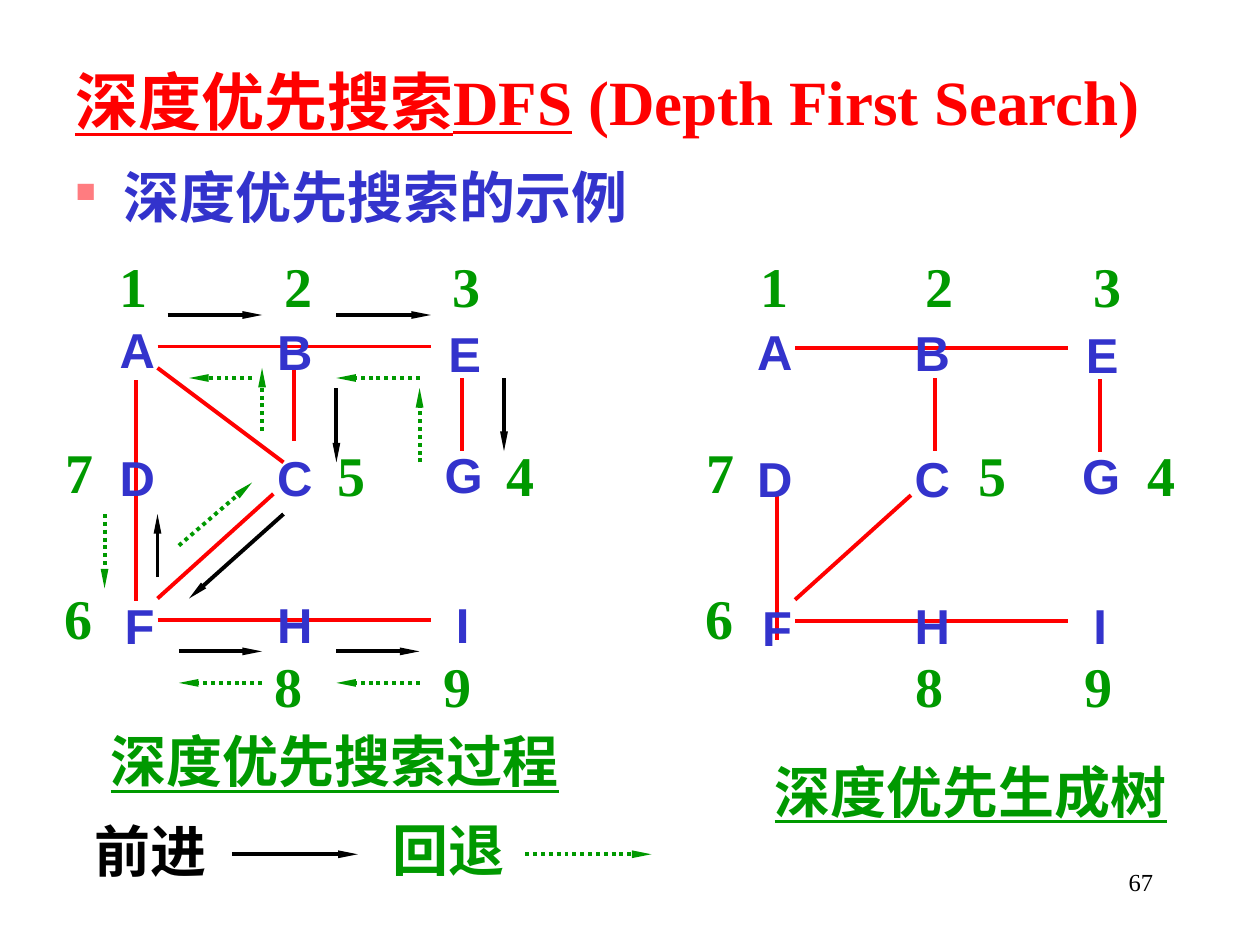
from lxml import etree
from pptx import Presentation
from pptx.dml.color import RGBColor
from pptx.enum.dml import MSO_LINE
from pptx.enum.shapes import MSO_CONNECTOR
from pptx.enum.text import MSO_ANCHOR, MSO_AUTO_SIZE, PP_ALIGN
from pptx.oxml.ns import qn
from pptx.util import Inches, Pt

STRAIGHT = MSO_CONNECTOR.STRAIGHT
DOTTED = MSO_LINE.ROUND_DOT
TOP, MIDDLE = MSO_ANCHOR.TOP, MSO_ANCHOR.MIDDLE
LEFT, RIGHT, JUSTIFY = PP_ALIGN.LEFT, PP_ALIGN.RIGHT, PP_ALIGN.JUSTIFY
GROW = MSO_AUTO_SIZE.SHAPE_TO_FIT_TEXT
COLORS = {
    "edge": "FF0000",
    "vertex": "3333CC",
    "back": "009900",
    "forward": "000000",
    "bullet": "FF7C80",
}

prs = Presentation()
prs.slide_width, prs.slide_height = Inches(10), Inches(7.5)
slide = prs.slides.add_slide(prs.slide_layouts[6])


def add_text(text, left, top, width, height, color="back", size=32, font="Times New Roman",
             bold=True, underline=False, plain_tail="", align=LEFT, anchor=TOP, wrap=True,
             grow=False):
    frame = slide.shapes.add_textbox(
        Inches(left), Inches(top), Inches(width), Inches(height)).text_frame
    frame.word_wrap = wrap
    frame.vertical_anchor = anchor
    if grow:
        frame.auto_size = GROW
    paragraph = frame.paragraphs[0]
    paragraph.alignment = align
    for words, underlined in ((text, underline), (plain_tail, False)):
        if words:
            run = paragraph.add_run()
            run.text = words
            run.font.size = Pt(size)
            run.font.name = font
            run.font.bold = bold
            run.font.underline = underlined
            run.font.color.rgb = RGBColor.from_string(COLORS[color])
    return paragraph


def add_line(x1, y1, x2, y2, color="edge", dotted=False, arrow=False):
    connector = slide.shapes.add_connector(
        STRAIGHT, Inches(x1), Inches(y1), Inches(x2), Inches(y2))
    connector.line.width = Pt(2.25)
    connector.line.color.rgb = RGBColor.from_string(COLORS[color])
    if dotted:
        connector.line.dash_style = DOTTED
    if arrow:
        etree.SubElement(connector.line._get_or_add_ln(), qn("a:tailEnd"),
                         type="triangle", w="sm", len="lg")
    etree.SubElement(connector._element.spPr, qn("a:effectLst"))


add_text("深度优先搜索DFS", 0.5, 0.38, 9.5, 0.83, color="edge", size=36, underline=True,
         plain_tail=" (Depth First Search)", align=JUSTIFY, anchor=MIDDLE)

topic = add_text("深度优先搜索的示例", 0.5, 1.24, 4.66, 0.75, color="vertex")
topic_format = topic._p.get_or_add_pPr()
topic_format.set("marL", str(Inches(0.38)))
topic_format.set("indent", str(Inches(-0.38)))
bullet_color = etree.SubElement(topic_format, qn("a:buClr"))
etree.SubElement(bullet_color, qn("a:srgbClr"), val=COLORS["bullet"])
etree.SubElement(topic_format, qn("a:buSzPct"), val="50000")
etree.SubElement(topic_format, qn("a:buChar"), char="■")

shared_edges = [
    (1.25, 2.75, 3.42, 2.75),
    (1.25, 4.75, 2.17, 3.92),
    (1.25, 4.92, 3.42, 4.92),
    (3.67, 3, 3.67, 3.58),
]
graph_edges = [
    (1.25, 2.92, 2.25, 3.67),
    (2.33, 2.92, 2.33, 3.5),
    (1.08, 3.02, 1.08, 4.77),
]
tree_edges = [
    (7.42, 3, 7.42, 3.58),
    (6.17, 3.92, 6.17, 5.08),
]
vertices = [
    ("A", 0.85, 2.49, 0.48), ("B", 2.1, 2.5, 0.48), ("E", 3.46, 2.52, 0.46),
    ("D", 0.85, 3.5, 0.48), ("C", 2.1, 3.5, 0.48), ("G", 3.43, 3.48, 0.5),
    ("F", 0.89, 4.68, 0.44), ("H", 2.1, 4.67, 0.48), ("I", 3.52, 4.67, 0.31),
]
visit_places = [
    (0.85, 1.95), (2.16, 1.95), (3.49, 1.95), (3.92, 3.45), (2.58, 3.45),
    (0.41, 4.58), (0.42, 3.42), (2.08, 5.12), (3.42, 5.12),
]

for edge in graph_edges + tree_edges:
    add_line(*edge)

for dx, dy, order_dx in ((0, 0, 0), (5.06, 0.01, 5.09)):
    for x1, y1, x2, y2 in shared_edges:
        add_line(x1 + dx, y1 + dy, x2 + dx, y2 + dy)
    for name, left, top, width in vertices:
        add_text(name, left + dx, top + dy, width, 0.57, color="vertex", size=28,
                 font="Arial", wrap=False, grow=True)
    for order, (left, top) in enumerate(visit_places, start=1):
        add_text(str(order), left + order_dx, top, 0.42, 0.63, wrap=False, grow=True)

forward_moves = [
    (1.33, 2.5, 2.08, 2.5),
    (2.67, 2.5, 3.42, 2.5),
    (4, 3, 4, 3.58),
    (2.67, 3.08, 2.67, 3.67),
    (2.25, 4.08, 1.5, 4.75),
    (1.25, 4.58, 1.25, 4.08),
    (1.42, 5.17, 2.08, 5.17),
    (2.67, 5.17, 3.33, 5.17),
    (1.84, 6.78, 2.84, 6.78),
]
back_moves = [
    (3.33, 3.67, 3.33, 3.08),
    (3.33, 3, 2.67, 3),
    (2.08, 3.42, 2.08, 2.92),
    (2, 3, 1.5, 3),
    (0.83, 4.08, 0.83, 4.67),
    (2.08, 5.42, 1.42, 5.42),
    (3.33, 5.42, 2.67, 5.42),
    (1.42, 4.33, 2, 3.83),
    (4.17, 6.78, 5.17, 6.78),
]
for move in forward_moves:
    add_line(*move, color="forward", arrow=True)
for move in back_moves:
    add_line(*move, color="back", dotted=True, arrow=True)

add_text("前进", 0.65, 6.43, 1.3, 0.63, color="forward", grow=True)
add_text("回退", 3.02, 6.42, 1.19, 0.63, grow=True)
add_text("深度优先搜索过程", 0.78, 5.72, 3.88, 0.63, underline=True, grow=True)
add_text("深度优先生成树", 6.05, 5.96, 3.47, 0.63, underline=True, grow=True)
add_text("67", 7.17, 6.83, 2.08, 0.5, color="forward", size=14, bold=False, align=RIGHT)

prs.save("out.pptx")
